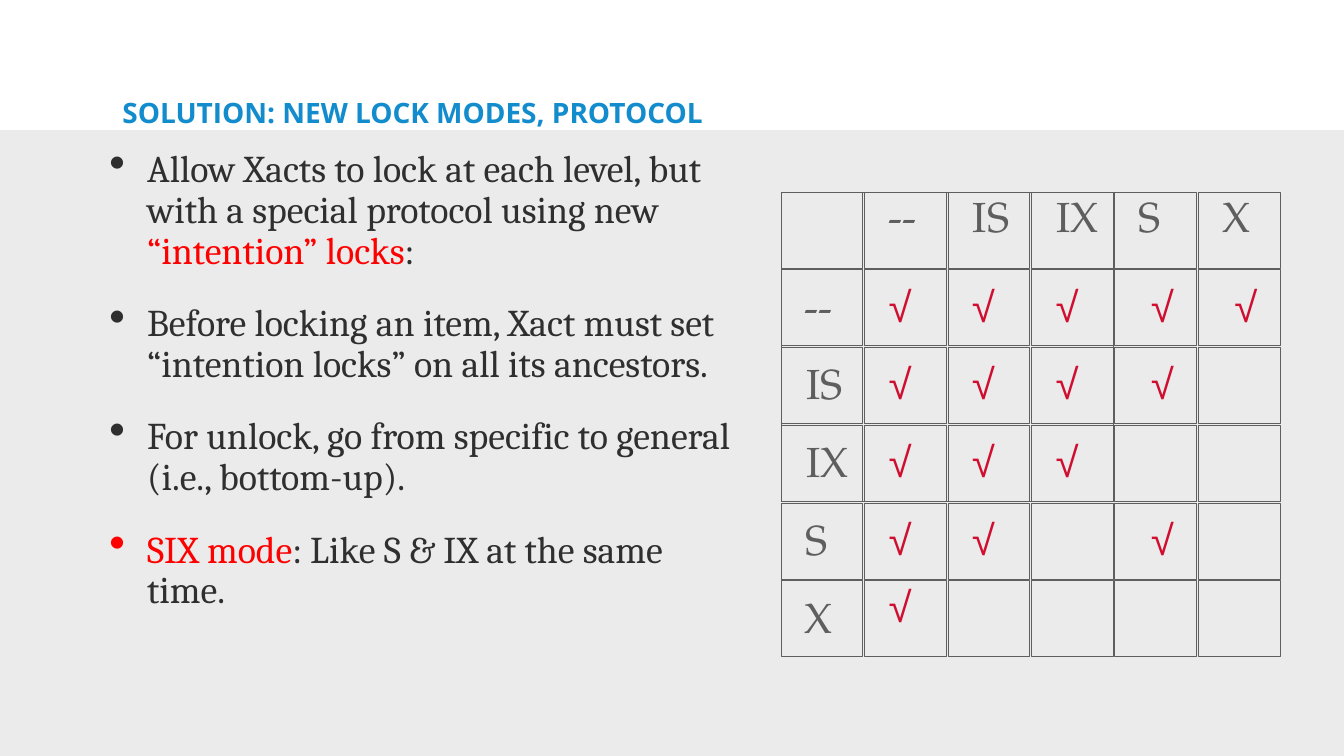
from dataclasses import dataclass

from lxml import etree
from pptx import Presentation
from pptx.dml.color import RGBColor
from pptx.enum.shapes import MSO_SHAPE
from pptx.enum.text import MSO_ANCHOR, MSO_AUTO_SIZE, PP_ALIGN
from pptx.oxml.ns import qn
from pptx.util import Pt

RECT = MSO_SHAPE.RECTANGLE
TOP = MSO_ANCHOR.TOP
GROW = MSO_AUTO_SIZE.SHAPE_TO_FIT_TEXT
FIXED = MSO_AUTO_SIZE.NONE
LEFT = PP_ALIGN.LEFT
CENTER = PP_ALIGN.CENTER
PX = 9144


@dataclass
class Theme:
    panel: str = "EBEBEB"
    blue: str = "128CCD"
    ink: str = "2F2F2F"
    red: str = "FF0000"
    gray: str = "5E5E5E"
    mark: str = "CF0E30"
    head: int = 40
    body: int = 54
    cell: int = 60


theme = Theme()
deck = Presentation()
deck.slide_width = 2667 * PX
deck.slide_height = 1500 * PX
slide = deck.slides.add_slide(deck.slide_layouts[6])
shapes = slide.shapes


def add_rect(x, y, w, h, fill=None):
    rect = shapes.add_shape(RECT, x * PX, y * PX, w * PX, h * PX)
    rect.shadow.inherit = False
    if fill:
        rect.fill.solid()
        rect.fill.fore_color.rgb = RGBColor.from_string(fill)
        rect.line.fill.background()
    else:
        rect.fill.background()
        rect.line.color.rgb = RGBColor.from_string(theme.gray)
        rect.line.width = Pt(1)


def add_text(x, y, w, h, text, face, size, color, label=False):
    box = shapes.add_textbox(x * PX, y * PX, w * PX, h * PX)
    frame = box.text_frame
    frame.word_wrap = not label
    frame.auto_size = GROW if label else FIXED
    frame.vertical_anchor = TOP
    side, edge = (10, 5) if label else (6, 6)
    frame.margin_left = frame.margin_right = side * PX
    frame.margin_top = frame.margin_bottom = edge * PX
    para = frame.paragraphs[0]
    para.text = text
    para.alignment = CENTER if label else LEFT
    para.font.name = face
    para.font.size = Pt(size)
    para.font.color.rgb = RGBColor.from_string(color)
    return frame


add_rect(0, 258, 2667, 1242, theme.panel)

points = [
    [("Allow Xacts to lock at each level, but with a special protocol using new ", theme.ink),
     ("“intention” locks", theme.red), (":", theme.ink)],
    [("Before locking an item, Xact must set “intention locks” on all its ancestors.", theme.ink)],
    [("For unlock, go from specific to general (i.e., bottom-up).", theme.ink)],
    [("SIX mode", theme.red), (": Like S & IX at the same time.", theme.ink)],
]
frame = add_text(211, 292, 1281, 1172, "", "Cambria", theme.body, theme.ink)
for i, point in enumerate(points):
    para = frame.add_paragraph() if i else frame.paragraphs[0]
    props = para._p.get_or_add_pPr()
    for old in props.findall(qn("a:defRPr")):
        props.remove(old)
    props.set("marL", str(75 * PX))
    props.set("indent", str(-75 * PX))
    para.line_spacing = 0.9
    para.space_before = Pt(45 if i else 0)
    etree.SubElement(props, qn("a:buSzPct")).set("val", "123000")
    etree.SubElement(props, qn("a:buChar")).set("char", "•")
    para.font.name = "Cambria"
    para.font.size = Pt(theme.body)
    for text, color in point:
        run = para.add_run()
        run.text = text
        run.font.color.rgb = RGBColor.from_string(color)

title = add_text(237, 197, 1609, 56, "SOLUTION: NEW LOCK MODES, PROTOCOL",
                 "Open Sans", theme.head, theme.blue).paragraphs[0]
title.line_spacing = 0.8
title.font.bold = True

modes = ["--", "IS", "IX", "S", "X"]
wide = {"--": 76, "IS": 93, "IX": 105, "S": 65, "X": 76}
shift = {"IS": 39, "IX": 39}
allow = {"--": modes, "IS": ["--", "IS", "IX", "S"], "IX": ["--", "IS", "IX"],
         "S": ["--", "IS", "S"], "X": ["--"]}
cols = [round(1550 + 165.6 * n) for n in range(6)]
rows = [round(381 + 154.2 * n) for n in range(6)]

add_rect(cols[0], rows[0], 659, 613)
for x in cols:
    for y in rows:
        add_rect(x, y, 162, 151)

for mode, x, y in zip(modes, cols[1:], rows[1:]):
    gap = shift.get(mode, 37)
    for left, top in [(x, rows[0] - 7), (cols[0], y + 16)]:
        add_text(left + gap, top, wide[mode], 111, mode,
                 "TeX Gyre Pagella", theme.cell, theme.gray, True)
    drop = -6 if mode == "X" else 16
    for other, left in zip(modes, cols[1:]):
        if other in allow[mode]:
            inset = 61 if other in ("S", "X") else 37
            add_text(left + inset, y + drop, 67, 111, "√",
                     "Arial", theme.cell, theme.mark, True)

deck.save("out.pptx")
